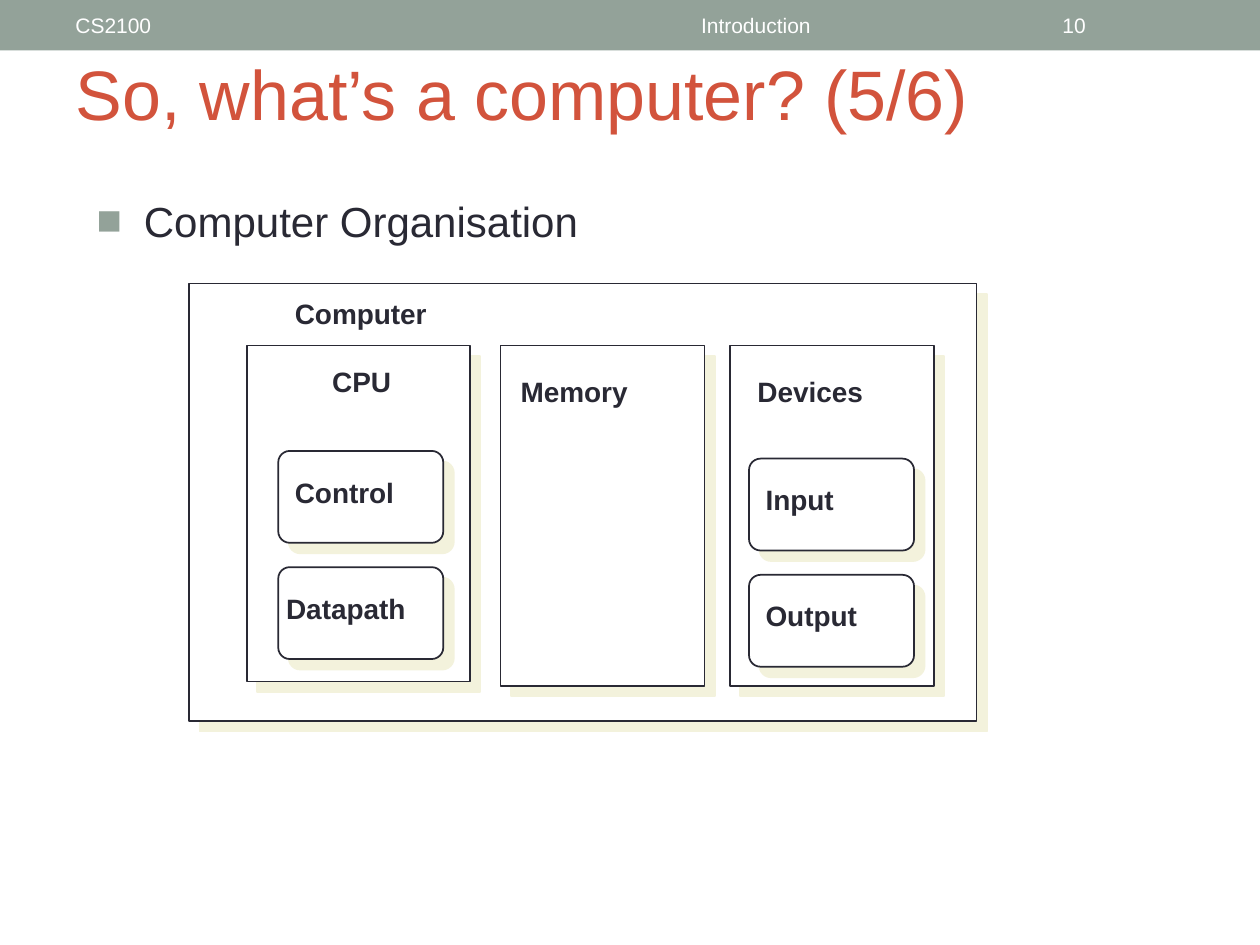
from lxml import etree
from pptx import Presentation
from pptx.dml.color import RGBColor
from pptx.enum.shapes import MSO_SHAPE
from pptx.enum.text import MSO_ANCHOR, MSO_AUTO_SIZE, PP_ALIGN
from pptx.oxml.ns import qn
from pptx.util import Pt

RECT, ROUNDED = MSO_SHAPE.RECTANGLE, MSO_SHAPE.ROUNDED_RECTANGLE
TOP, MIDDLE = MSO_ANCHOR.TOP, MSO_ANCHOR.MIDDLE
LEFT, CENTER = PP_ALIGN.LEFT, PP_ALIGN.CENTER
NO_FIT = MSO_AUTO_SIZE.NONE
FONT = "Arial"
COLORS = {"band": "93A299", "title": "D2533C", "ink": "292934",
          "paper": "FFFFFF", "shadow": "F3F2DC"}


def color(name):
    """Return the named colour."""
    return RGBColor.from_string(COLORS[name])


def place(shape, left, top, width, height):
    """Move and size a shape, in points."""
    shape.left, shape.top = Pt(left), Pt(top)
    shape.width, shape.height = Pt(width), Pt(height)


def write(shape, text, size, ink, bold=False, align=LEFT, anchor=TOP, inset=(7.2, 3.6)):
    """Put one formatted paragraph into a shape and return it."""
    frame = shape.text_frame
    frame.text = text
    frame.word_wrap = True
    frame.auto_size = NO_FIT
    frame.vertical_anchor = anchor
    frame.margin_left = frame.margin_right = Pt(inset[0])
    frame.margin_top = frame.margin_bottom = Pt(inset[1])
    para = frame.paragraphs[0]
    para.alignment = align
    para.space_before = Pt(0)
    for span in para.runs:
        span.font.name, span.font.size, span.font.bold = FONT, Pt(size), bold
        span.font.color.rgb = color(ink)
    return para


def add_header(page, left, top, width, height):
    """Draw the band with course, topic and page number."""
    band = page.shapes.add_shape(RECT, Pt(left), Pt(top), Pt(width), Pt(height))
    band.fill.solid()
    band.fill.fore_color.rgb = color("band")
    band.line.fill.background()
    band.shadow.inherit = False
    for text, offset, field_width, align in (("CS2100", 36, 228, LEFT),
                                             ("Introduction", 270, 324, CENTER),
                                             ("10", 600, 84, LEFT)):
        box = page.shapes.add_textbox(Pt(left + offset), Pt(top + 1.5),
                                      Pt(field_width), Pt(height - 3))
        write(box, text, 12, "paper", align=align, anchor=MIDDLE)


def add_bullet(para, indent):
    """Give a paragraph a square bullet with a hanging indent."""
    props = para._p.get_or_add_pPr()
    props.set("marL", str(Pt(indent)))
    props.set("indent", str(-Pt(indent)))
    tint = etree.SubElement(props, qn("a:buClr"))
    etree.SubElement(tint, qn("a:srgbClr"), val=COLORS["band"])
    etree.SubElement(props, qn("a:buFont"), typeface=FONT)
    etree.SubElement(props, qn("a:buChar"), char="\u25a0")


def add_frame(group, kind, left, top, width, height):
    """Draw an outlined box with a solid offset shadow."""
    box = group.shapes.add_shape(kind, Pt(left), Pt(top), Pt(width), Pt(height))
    if kind == ROUNDED:
        box.adjustments[0] = 0.125
    box.fill.solid()
    box.fill.fore_color.rgb = color("paper")
    box.line.color.rgb = color("ink")
    box.line.width = Pt(1)
    box.shadow.inherit = False
    effects = box._element.spPr.find(qn("a:effectLst"))
    shade = etree.SubElement(effects, qn("a:outerShdw"), blurRad="0", dist=str(Pt(8.5)),
                             dir=str(45 * 60000), algn="ctr", rotWithShape="0")
    etree.SubElement(shade, qn("a:srgbClr"), val=COLORS["shadow"])


def add_label(group, text, left, top, width, align=LEFT):
    """Write a bold diagram label."""
    box = group.shapes.add_textbox(Pt(left), Pt(top), Pt(width), Pt(22.3))
    para = write(box, text, 16, "ink", bold=True, align=align, inset=(5, 2.2))
    para.line_spacing = 0.85


def add_unit(group, left, top, width, height, label, parts=(), parts_at=(0, 0)):
    """Draw a unit, its label and the stack of parts inside it."""
    text, label_left, label_top, label_width, align = label
    add_frame(group, RECT, left, top, width, height)
    add_label(group, text, left + label_left, top + label_top, label_width, align)
    part_left = left + parts_at[0]
    for row, (name, offset, name_width) in enumerate(parts):
        part_top = top + parts_at[1] + row * 66.4
        add_frame(group, ROUNDED, part_left, part_top, 94.3, 52.5)
        add_label(group, name, part_left + offset, part_top + 14.5, name_width)


def add_diagram(page, left, top, width, height):
    """Draw the computer with its three units."""
    group = page.shapes.add_group_shape()
    add_frame(group, RECT, left, top, width, height)
    add_label(group, "Computer", left + 55.5, top + 8, 95)
    unit_top = top + 35.5
    add_unit(group, left + 33, unit_top, 127.5, 192,
             (" CPU", 3, 11.5, 121, CENTER),
             (("Control", 4.5, 74), ("Datapath", -0.5, 87)), (18, 60.2))
    add_unit(group, left + 178, unit_top, 116.6, 194.4, ("Memory", 6.5, 17, 79, LEFT))
    add_unit(group, left + 309, unit_top, 116.6, 194.4,
             ("Devices", 10.8, 17, 78.5, LEFT),
             (("Input", 4.5, 55), ("Output", 4.5, 69)), (11, 64.6))


def build():
    """Build and save the slide."""
    deck = Presentation()
    deck.slide_width, deck.slide_height = Pt(720), Pt(540)
    page = deck.slides.add_slide(deck.slide_layouts[1])
    title, body = page.shapes.title, page.placeholders[1]
    add_header(page, 0, 0, 720, 28.8)
    place(title, 36, 21.6, 648, 62)
    write(title, "So, what\u2019s a computer? (5/6)", 40, "title", anchor=MIDDLE)
    place(body, 48, 108, 294, 36)
    add_bullet(write(body, "Computer Organisation", 24, "ink"), 27)
    add_diagram(page, 108, 162, 450, 250)
    deck.save("out.pptx")


build()
